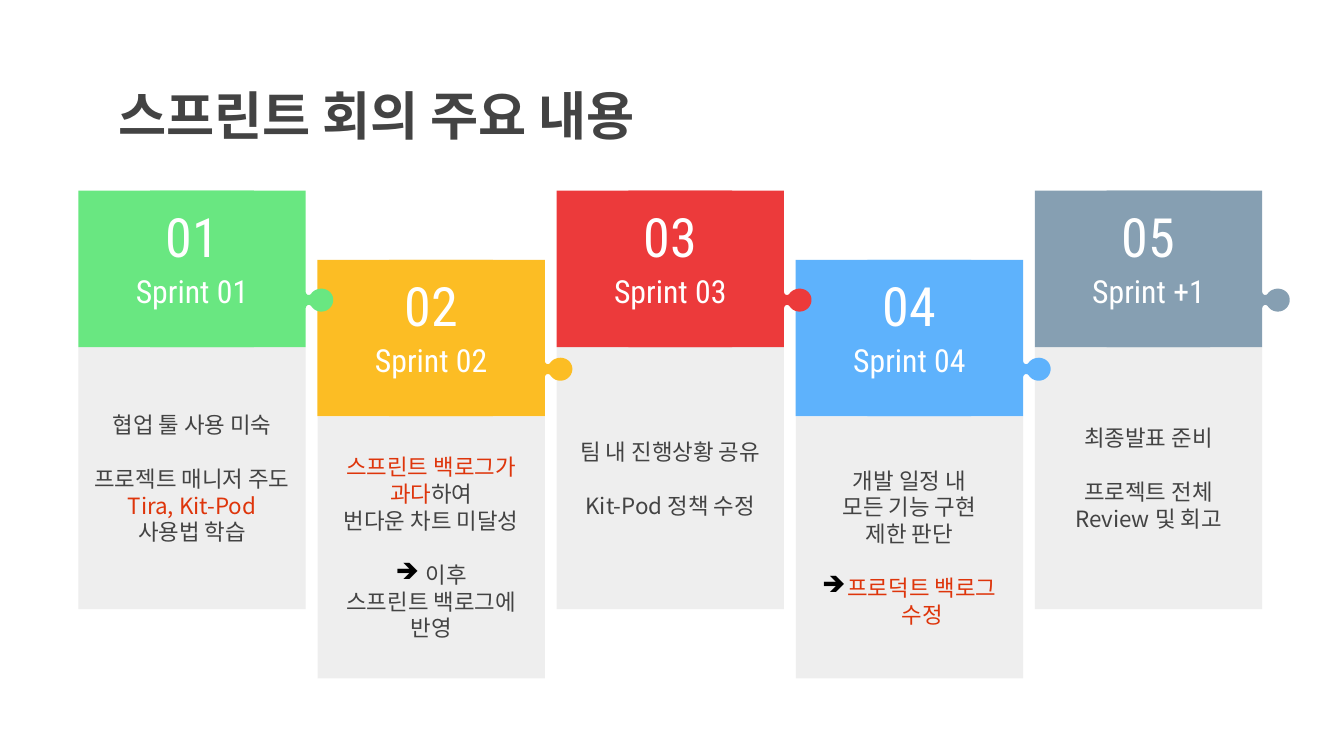
from lxml import etree
from pptx import Presentation
from pptx.dml.color import RGBColor
from pptx.enum.shapes import MSO_SHAPE
from pptx.enum.text import MSO_ANCHOR, PP_ALIGN
from pptx.oxml.ns import qn
from pptx.util import Pt

RECT = MSO_SHAPE.RECTANGLE
MIDDLE = MSO_ANCHOR.MIDDLE
LEFT, CENTER = PP_ALIGN.LEFT, PP_ALIGN.CENTER

COLORS = {
    "ink": "434343", "hot": "DE350B", "white": "FFFFFF", "black": "000000",
    "panel": "EEEEEE", "green": "69E781", "amber": "FCBD24",
    "red": "EC3A3B", "blue": "5EB2FC", "slate": "869FB2",
}
KOREAN, LATIN = "Noto Sans CJK KR", "Roboto Condensed"
ARROW = "➔"

# Each body is a list of groups of lines; *stars* mark highlighted words.
CARDS = [
    ("green", "Sprint 01", [["협업 툴 사용 미숙"],
                            ["프로젝트 매니저 주도", "*Tira, Kit-Pod*", "사용법 학습"]]),
    ("amber", "Sprint 02", [["*스프린트 백로그가*", "*과다*하여", "번다운 차트 미달성"],
                            [ARROW + " 이후", "스프린트 백로그에 반영"]]),
    ("red", "Sprint 03", [["팀 내 진행상황 공유"], ["Kit-Pod 정책 수정"]]),
    ("blue", "Sprint 04", [["개발 일정 내", "모든 기능 구현", "제한 판단"],
                           [ARROW + "*프로덕트 백로그 수정*"]]),
    ("slate", "Sprint +1", [["최종발표 준비"], ["프로젝트 전체 Review 및 회고"]]),
]

START, PITCH, TOP, DROP = 42, 128.1, 102.2, 37
WIDTH, HEAD, BODY = 121.8, 83.8, 140.4
BLOCK, TAB = 94, 38.4
LINE = 14.4

# Cubic curves of the knob, measured from the top right corner of the header.
KNOB = (0, 63.3)
CURVES = [
    ((0, 62), (0.7, 61.2), (1.6, 61.2)),
    ((2.2, 61.2), (2.7, 61.5), (3, 61.9)),
    ((4.2, 63.7), (6.2, 64.8), (8.4, 64.8)),
    ((12, 64.8), (15.2, 61.6), (14.7, 57.8)),
    ((14.4, 55.1), (12.2, 53), (9.5, 52.6)),
    ((9.1, 52.5), (8.8, 52.5), (8.4, 52.5)),
    ((6.2, 52.5), (4.2, 53.5), (3, 55.1)),
    ((2.7, 55.6), (2.2, 55.9), (1.6, 55.9)),
    ((0.7, 55.9), (0, 55.2), (0, 54)),
]


def trace(start, curves, steps=8):
    """Return points along a chain of cubic curves."""
    points = [start]
    for b, c, d in curves:
        a = points[-1]
        for i in range(1, steps + 1):
            t = i / steps
            u = 1 - t
            points.append(tuple(
                u**3 * p + 3 * u * u * t * q + 3 * u * t * t * r + t**3 * s
                for p, q, r, s in zip(a, b, c, d)))
    return points


def color(name):
    return RGBColor.from_string(COLORS[name])


class Deck:
    def __init__(self):
        self.prs = Presentation()
        self.prs.slide_width, self.prs.slide_height = Pt(720), Pt(405)
        self.slide = self.prs.slides.add_slide(self.prs.slide_layouts[5])
        self.into = self.slide.shapes

    def group(self):
        self.into = self.slide.shapes.add_group_shape().shapes

    def frame(self, shape):
        frame = shape.text_frame
        frame.word_wrap = True
        frame.vertical_anchor = MIDDLE
        frame.margin_left = frame.margin_right = Pt(7.2)
        frame.margin_top = frame.margin_bottom = Pt(7.2)
        return frame

    def font(self, para, face, size, ink, align=CENTER):
        para.alignment = align
        font = para.font
        font.name, font.size = face, Pt(size)
        etree.SubElement(font._rPr, qn("a:ea"), typeface=face)
        font.color.rgb = color(ink)

    def paint(self, shape, fill):
        shape.shadow.inherit = False
        shape.fill.solid()
        shape.fill.fore_color.rgb = color(fill)
        shape.line.fill.background()

    def title(self, text):
        shape = self.slide.shapes.title
        shape.left, shape.top = Pt(56.2), Pt(42.5)
        shape.width, shape.height = Pt(608.4), Pt(38.2)
        para = self.frame(shape).paragraphs[0]
        para.text = text
        self.font(para, KOREAN, 28, "ink", LEFT)
        para.font.bold = True

    def rect(self, x, y, w, h, fill):
        shape = self.into.add_shape(RECT, Pt(x), Pt(y), Pt(w), Pt(h))
        self.paint(shape, fill)
        return shape

    def outline(self, points, fill):
        points = [(Pt(x), Pt(y)) for x, y in points]
        pen = self.into.build_freeform(*points[0])
        pen.add_line_segments(points[1:], close=True)
        self.paint(pen.convert_to_shape(), fill)

    def label(self, x, y, w, h, text, size):
        box = self.into.add_textbox(Pt(x), Pt(y), Pt(w), Pt(h))
        para = self.frame(box).paragraphs[0]
        para.text = text
        self.font(para, LATIN, size, "white")

    def bullet(self, para):
        props = para._p.get_or_add_pPr()
        props.set("marL", str(Pt(13.5)))
        props.set("indent", str(-Pt(13.5)))
        tint = etree.Element(qn("a:buClr"))
        etree.SubElement(tint, qn("a:srgbClr"), val=COLORS["black"])
        mark = etree.Element(qn("a:buChar"), char=ARROW)
        for item in (tint, mark):
            props.find(qn("a:defRPr")).addprevious(item)

    def text(self, para, line):
        """Fill a paragraph from a line with *highlights* and an arrow."""
        parts = [(words, "hot" if i % 2 else "ink")
                 for i, words in enumerate(line.lstrip(ARROW).split("*")) if words]
        self.font(para, KOREAN, 12, parts[0][1])
        para.line_spacing = Pt(LINE)
        for words, ink in parts:
            run = para.add_run()
            run.text = words
            if len(parts) > 1:
                run.font.color.rgb = color(ink)
        if line.startswith(ARROW):
            self.bullet(para)

    def body(self, x, y, groups):
        frame = self.frame(self.rect(x, y, WIDTH, BODY, "panel"))
        para = None
        for group in groups:
            for i, line in enumerate(group):
                first = para is None
                para = frame.paragraphs[0] if first else frame.add_paragraph()
                self.text(para, line)
                if i == 0 and not first:
                    para.space_before = Pt(LINE)

    def card(self, index, fill, name, groups):
        x, y = START + index * PITCH, TOP + index % 2 * DROP
        right, base = x + WIDTH, y + HEAD
        self.group()
        self.body(x, base, groups)
        knob = [(right + a, y + b) for a, b in trace(KNOB, CURVES)]
        self.outline([(x + TAB, y), (x + TAB, base), (right, base),
                      *knob, (right, y)], fill)
        self.rect(x, y, BLOCK, HEAD, fill)
        self.label(x + 19.2, y + 34.5, 83.5, 38.2, name, 17)
        self.label(x + 19.2, y + 10, 83.5, 28, f"{index + 1:02}", 29)


def main():
    deck = Deck()
    deck.title("스프린트 회의 주요 내용")
    # Right to left, so that each knob lies over the next card.
    for index, card in reversed(list(enumerate(CARDS))):
        deck.card(index, *card)
    deck.prs.save("out.pptx")


if __name__ == "__main__":
    main()
